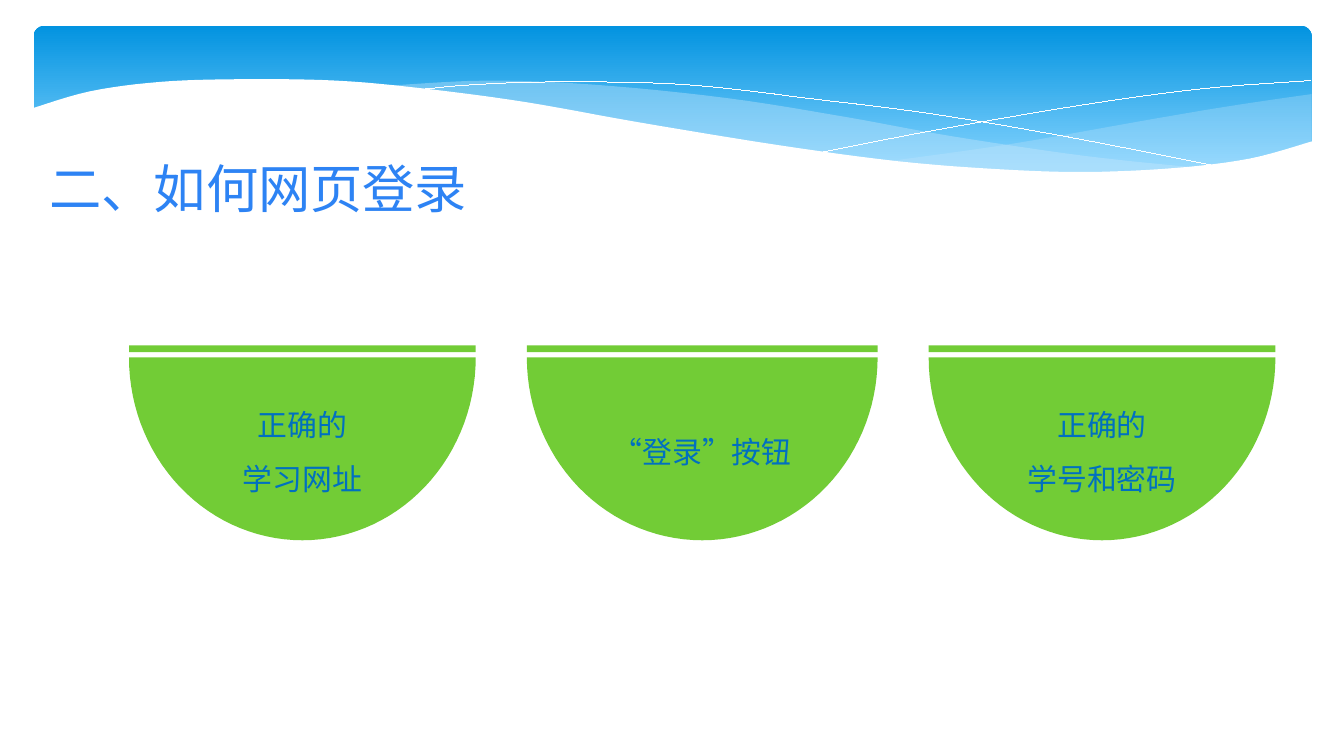
from math import cos, pi, sin

from lxml.etree import SubElement
from pptx import Presentation
from pptx.dml.color import RGBColor
from pptx.enum.shapes import MSO_SHAPE as Preset
from pptx.enum.text import MSO_ANCHOR as Anchor, PP_ALIGN as Align
from pptx.oxml.ns import qn
from pptx.util import Inches, Pt

WAVE_COLOR = "C6E7FC"
RIGHT_WAVE = (
    [(9.51, 0.51), (8.96, 0.59), (8.36, 0.69), (7.28, 0.88), (6.36, 1.01)],
    [(6.36, 1.01), (7.07, 1.07), (7.89, 1.1), (8.64, 1.06), (9.17, 0.96), (9.51, 0.87)],
)
MIDDLE_WAVE = (
    [(8.68, 1.06), (7.82, 0.97), (6.81, 0.82), (6.04, 0.68), (5.16, 0.54),
     (4.17, 0.44), (3.36, 0.41), (2.61, 0.45)],
    [(2.61, 0.45), (3.37, 0.54), (4.24, 0.68), (5.41, 0.88), (6.4, 1.02),
     (7.23, 1.09), (8.03, 1.1), (8.68, 1.06)],
)
THIN_LINES = (
    [(2.84, 0.48), (3.28, 0.44), (3.91, 0.42), (4.85, 0.44), (5.83, 0.55),
     (6.7, 0.66), (7.7, 0.83), (8.82, 1.05)],
    [(5.88, 0.94), (6.7, 0.78), (7.81, 0.59), (8.7, 0.47), (9.5, 0.41)],
)
LOWER_EDGE = [
    (9.52, 0.86), (9.05, 0.99), (8.5, 1.06), (7.84, 1.09), (7.19, 1.07),
    (6.43, 1.01), (5.54, 0.89), (4.5, 0.72), (3.66, 0.57), (2.91, 0.47),
    (2.25, 0.41), (1.52, 0.4), (0.94, 0.42), (0.42, 0.49), (-0.02, 0.62),
]
BOWLS = [
    (0.96, 2.58, ["正确的", "学习网址"]),
    (3.92, 2.61, ["“登录”按钮"]),
    (6.91, 2.58, ["正确的", "学号和密码"]),
]


def color(value):
    return RGBColor.from_string(value)


def smooth(knots, steps=6):
    padded = [knots[0], *knots, knots[-1]]
    points = []
    for a, b, c, d in zip(padded, padded[1:], padded[2:], padded[3:]):
        for step in range(steps):
            t = step / steps
            points.append(tuple(
                q + t / 2 * (r - p + t * (2 * p - 5 * q + 4 * r - s + t * (3 * (q - r) + s - p)))
                for p, q, r, s in zip(a, b, c, d)
            ))
    return points + [knots[-1]]


def add_outline(slide, left, top, contours, fill=None, opacity=None, closed=True):
    placed = [[(Inches(left + x), Inches(top + y)) for x, y in contour] for contour in contours]
    builder = slide.shapes.build_freeform(*placed[0][0], scale=1.0)
    for index, contour in enumerate(placed):
        if index:
            builder.move_to(*contour[0])
        builder.add_line_segments(contour[1:], close=closed)
    shape = builder.convert_to_shape()
    shape.shadow.inherit = False
    if fill:
        shape.fill.solid()
        shape.fill.fore_color.rgb = color(fill)
        shape.line.fill.background()
    else:
        shape.fill.background()
    if opacity:
        rgb = shape.fill._xPr.find(qn("a:solidFill")).find(qn("a:srgbClr"))
        SubElement(rgb, qn("a:alpha"), val=str(opacity * 1000))
    return shape


def write_text(shape, lines, frame_format, paragraph_format, font_format):
    frame = shape.text_frame
    for name, value in frame_format.items():
        setattr(frame, name, value)
    for index, line in enumerate(lines):
        paragraph = frame.add_paragraph() if index else frame.paragraphs[0]
        for name, value in paragraph_format.items():
            setattr(paragraph, name, value)
        run = paragraph.add_run()
        run.text = line
        for name, value in font_format.items():
            if name == "color":
                run.font.color.rgb = color(value)
            else:
                setattr(run.font, name, value)


def add_header(slide, left, top, width, height):
    band = slide.shapes.add_shape(
        Preset.ROUNDED_RECTANGLE, Inches(left), Inches(top), Inches(width), Inches(height))
    band.adjustments[0] = 0.07
    band.shadow.inherit = False
    band.line.fill.background()
    band.fill.gradient()
    band.fill.gradient_angle = 270
    for stop, (position, value) in zip(band.fill.gradient_stops, [(0, "0293E0"), (0.9, "83D3FE")]):
        stop.position = position
        stop.color.rgb = color(value)
    for (upper, lower), opacity in [(RIGHT_WAVE, 29), (MIDDLE_WAVE, 40)]:
        add_outline(slide, left, top, [smooth(upper) + smooth(lower)], WAVE_COLOR, opacity)
    for knots in THIN_LINES:
        shape = add_outline(slide, left, top, [smooth(knots)], closed=False)
        shape.line.color.rgb = color("FFFFFF")
        shape._element.spPr.find(qn("a:ln")).set("w", "0")
    floor = [(-0.02, 1.49), (9.52, 1.49)]
    add_outline(slide, left, top, [smooth(LOWER_EDGE) + floor], "FFFFFF")


def add_title(slide, left, top, width, height, text):
    box = slide.shapes.add_textbox(Inches(left), Inches(top), Inches(width), Inches(height))
    write_text(
        box, [text],
        {"word_wrap": True, "vertical_anchor": Anchor.MIDDLE},
        {"alignment": Align.LEFT},
        {"size": Pt(28), "name": "Calibri", "color": "2D83F4"})


def add_bowl(slide, left, top, width, height, lines):
    bar_height, rim = 0.05, 0.09
    radius, depth, steps = width / 2, height - rim, 60
    bowl = [
        (radius + radius * cos(pi * step / steps), rim + depth * sin(pi * step / steps))
        for step in range(steps + 1)
    ]
    bar = [(0, 0), (width, 0), (width, bar_height), (0, bar_height)]
    shape = add_outline(slide, left, top, [bowl, bar], "72CC36")
    write_text(
        shape, lines,
        {"word_wrap": True, "vertical_anchor": Anchor.MIDDLE},
        {"alignment": Align.CENTER, "line_spacing": 1.5},
        {"size": Pt(16), "name": "Arial", "color": "0070C0"})


def main():
    presentation = Presentation()
    presentation.slide_width = Inches(10)
    presentation.slide_height = Inches(10 * 9 / 16)
    slide = presentation.slides.add_slide(presentation.slide_layouts[6])
    add_header(slide, 0.25, 0.19, 9.51, 1.17)
    for left, width, lines in BOWLS:
        add_bowl(slide, left, 2.57, width, 1.45, lines)
    add_title(slide, 0.27, 0.85, 8.16, 1.09, "二、如何网页登录")
    presentation.save("out.pptx")


if __name__ == "__main__":
    main()
